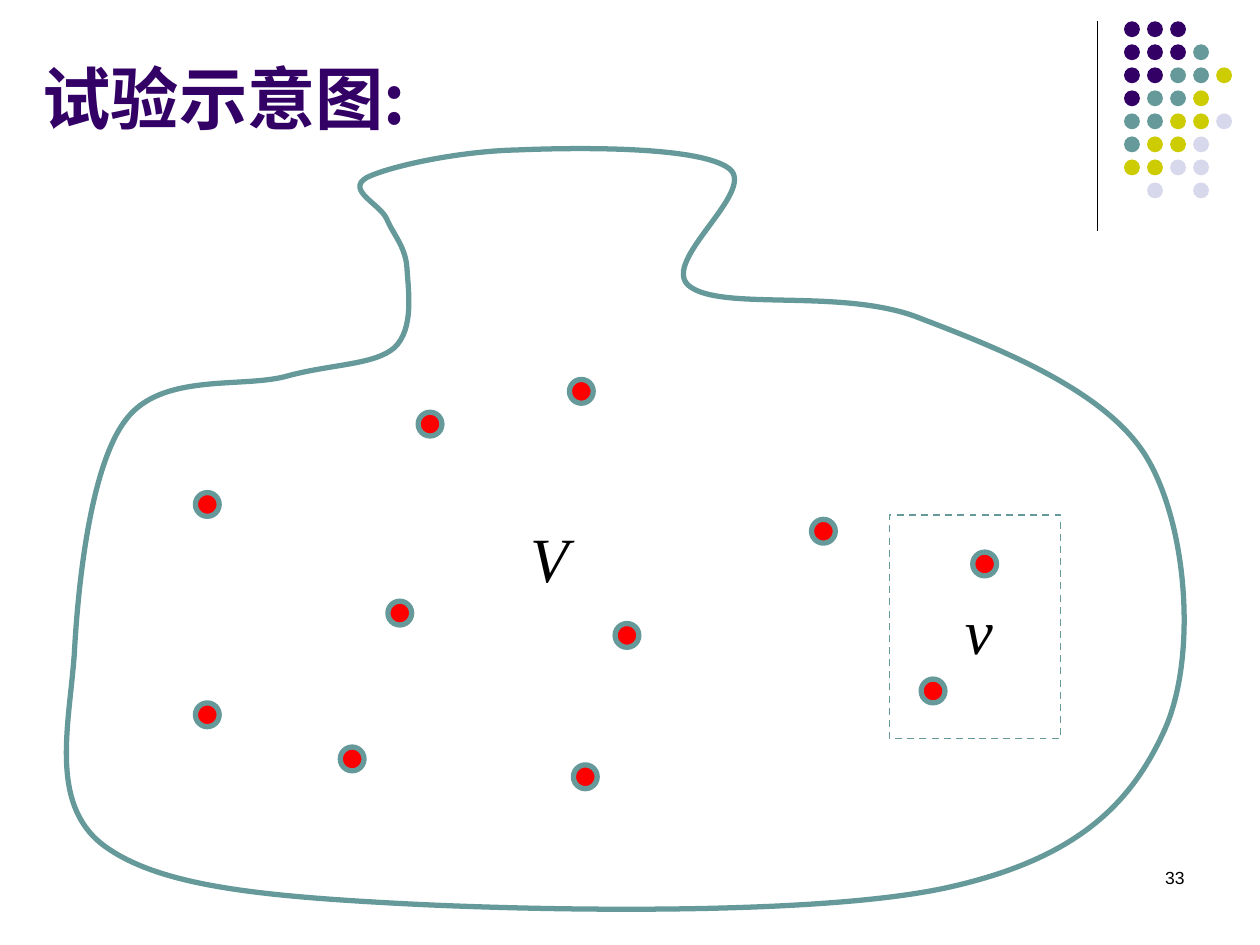
from lxml import etree
from pptx import Presentation
from pptx.dml.color import RGBColor
from pptx.enum.dml import MSO_LINE
from pptx.enum.shapes import MSO_CONNECTOR, MSO_SHAPE
from pptx.enum.text import MSO_ANCHOR, MSO_AUTO_SIZE, PP_ALIGN
from pptx.oxml.ns import qn
from pptx.util import Cm, Pt

colour = RGBColor.from_string
PURPLE, TEAL, OLIVE, PALE = "330066", "669999", "CCCC00", "D8D8EC"
BLACK, WHITE, RED = "000000", "FFFFFF", "FF0000"


def paint(shape, fill, line=None, width=0):
    shape.shadow.inherit = False
    shape.fill.solid()
    shape.fill.fore_color.rgb = colour(fill)
    if line:
        shape.line.color.rgb = colour(line)
        shape.line.width = Pt(width)
    else:
        shape.line.fill.background()


def add_text(text, box, font, size, color, align, wrap=True):
    frame = slide.shapes.add_textbox(*map(Cm, box)).text_frame
    frame.word_wrap = wrap
    frame.text = text
    frame.paragraphs[0].alignment = align
    run = frame.paragraphs[0].runs[0]
    run.font.name, run.font.size = font, Pt(size)
    run.font.color.rgb = colour(color)
    east_asian = etree.SubElement(run.font._element, qn("a:ea"))
    east_asian.set("typeface", font)
    return frame, run


prs = Presentation()
prs.slide_width, prs.slide_height = Cm(25.4), Cm(19.05)
slide = prs.slides.add_slide(prs.slide_layouts[6])

# Corner decoration: vertical rule and dot grid
rule = slide.shapes.add_connector(
    MSO_CONNECTOR.STRAIGHT, Cm(22.12), Cm(0.43), Cm(22.12), Cm(4.65))
rule.line.color.rgb = colour(BLACK)
rule.line.width = Pt(0.75)
etree.SubElement(rule._element.spPr, qn("a:effectLst"))

dot_colours = {"P": PURPLE, "T": TEAL, "O": OLIVE, "L": PALE}
dot_rows = ["PPP", "PPPT", "PPTTO", "PTTO", "TTOOL", "TOOL", "OOLL", " L L"]
dot_pitch = 3.25 / 7
dots = slide.shapes.add_group_shape()
for row, letters in enumerate(dot_rows):
    for col, letter in enumerate(letters):
        if letter in dot_colours:
            dot = dots.shapes.add_shape(
                MSO_SHAPE.OVAL, Cm(22.66 + col * dot_pitch),
                Cm(0.43 + row * dot_pitch), Cm(0.32), Cm(0.32))
            paint(dot, dot_colours[letter])

# Slide number and title
add_text("33", (18.21, 17.35, 5.92, 1.27), "Arial", 10, BLACK, PP_ALIGN.RIGHT)
title_frame, title_run = add_text(
    "试验示意图:", (0.61, 0.51, 20.96, 2.41), "Noto Sans CJK SC", 39,
    PURPLE, PP_ALIGN.LEFT)
title_frame.vertical_anchor = MSO_ANCHOR.BOTTOM
title_run.font.bold = True

# Flask outline: start point, then two handles and an end point per curve,
# in hundredths of 2.54 cm
flask_start = (307, 174)
flask_curves = [
    (312, 186), (322, 196), (323, 213),
    (324, 230), (329, 261), (313, 276),
    (297, 290), (261, 289), (226, 299),
    (190, 308), (128, 296), (100, 333),
    (72, 369), (62, 462), (59, 519),
    (55, 575), (39, 637), (81, 670),
    (124, 703), (204, 711), (316, 717),
    (428, 723), (653, 727), (754, 704),
    (856, 681), (898, 637), (924, 580),
    (950, 523), (943, 418), (910, 363),
    (877, 308), (786, 274), (726, 251),
    (665, 229), (572, 247), (547, 227),
    (523, 208), (601, 152), (579, 134),
    (556, 116), (459, 117), (411, 119),
    (364, 120), (309, 132), (291, 141),
    (274, 151), (302, 162), flask_start,
]
builder = slide.shapes.build_freeform(*flask_start, scale=Cm(2.54) / 100)
builder.add_line_segments(flask_curves, close=True)
flask = builder.convert_to_shape()
paint(flask, WHITE, TEAL, 3)

# Turn every three straight segments into one Bézier curve
segments = flask._element.findall(".//" + qn("a:lnTo"))
for first in range(0, len(segments), 3):
    curve = etree.Element(qn("a:cubicBezTo"))
    segments[first].addprevious(curve)
    for segment in segments[first:first + 3]:
        curve.append(segment[0])
        segment.getparent().remove(segment)

# Sampled volume
sample = slide.shapes.add_shape(
    MSO_SHAPE.RECTANGLE, Cm(17.93), Cm(10.39), Cm(3.45), Cm(4.5))
paint(sample, WHITE, TEAL, 1)
sample.line.dash_style = MSO_LINE.DASH

# Particles, by centre
particle_size = 0.48
particle_centres = [
    (7.1, 15.3), (11.72, 7.89), (4.18, 10.17), (18.81, 13.93),
    (8.06, 12.36), (11.8, 15.66), (4.18, 14.41), (16.6, 10.71),
    (8.67, 8.55), (12.64, 12.81), (19.85, 11.37),
]
for x, y in particle_centres:
    particle = slide.shapes.add_shape(
        MSO_SHAPE.OVAL, Cm(x - particle_size / 2), Cm(y - particle_size / 2),
        Cm(particle_size), Cm(particle_size))
    paint(particle, RED, TEAL, 3)

# Volume labels
for label, box in [("V", (10.44, 10.34, 1.27, 1.78)),
                   ("v", (19.2, 11.79, 1.07, 1.78))]:
    label_frame, label_run = add_text(
        label, box, "Times New Roman", 36, BLACK, PP_ALIGN.CENTER, wrap=False)
    label_frame.auto_size = MSO_AUTO_SIZE.SHAPE_TO_FIT_TEXT
    label_run.font.italic = True

prs.save("out.pptx")
